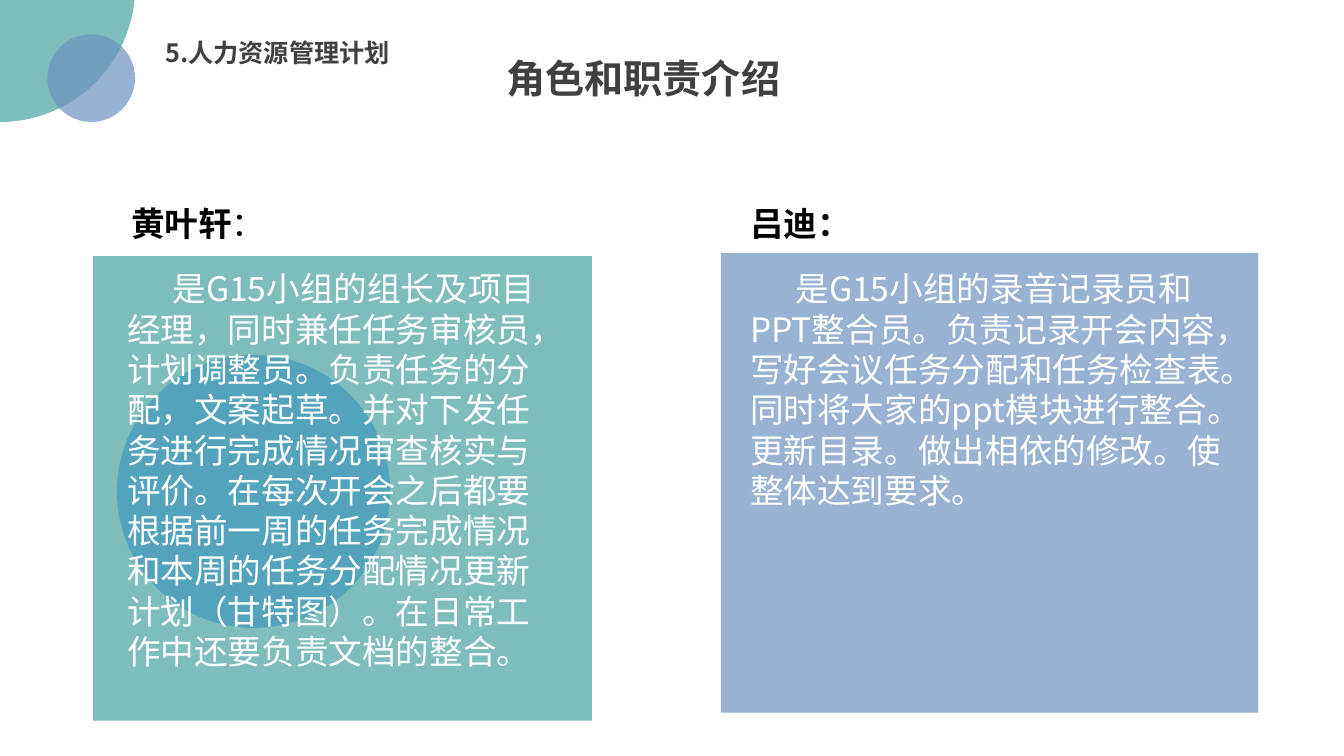
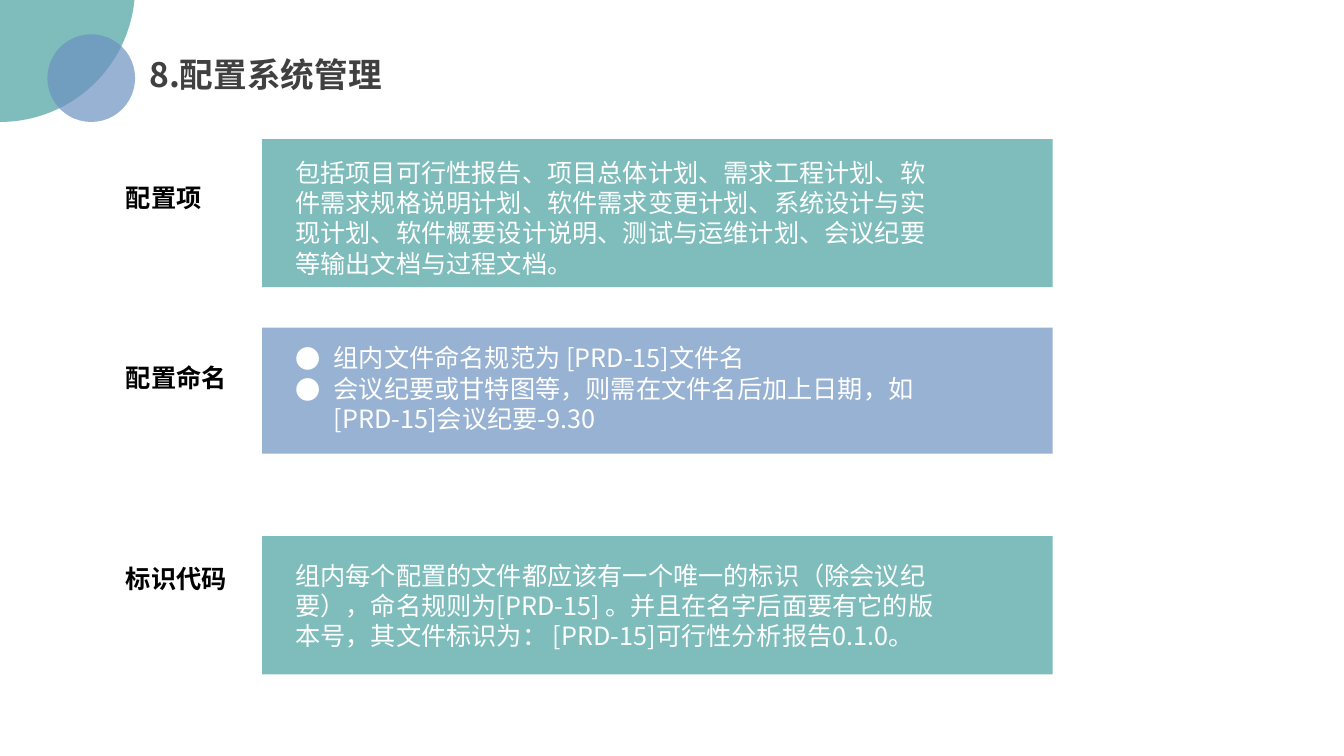
from lxml import etree
from pptx import Presentation
from pptx.dml.color import RGBColor
from pptx.enum.shapes import MSO_SHAPE
from pptx.enum.text import MSO_ANCHOR, MSO_AUTO_SIZE, PP_ALIGN
from pptx.oxml.ns import qn
from pptx.util import Inches, Pt

RECTANGLE, OVAL = MSO_SHAPE.RECTANGLE, MSO_SHAPE.OVAL
TOP, LEFT, NO_FIT = MSO_ANCHOR.TOP, PP_ALIGN.LEFT, MSO_AUTO_SIZE.NONE
CONTENT_LAYOUT, COMPARISON_LAYOUT = 1, 4

FONT = "Noto Sans CJK SC"
TEAL = RGBColor(0x48, 0xA2, 0xA0)
BLUE = RGBColor(0x6C, 0x92, 0xC0)
DEEP_BLUE = RGBColor(0x00, 0x70, 0xC0)
GREY = RGBColor(0x40, 0x40, 0x40)
BLACK = RGBColor(0, 0, 0)
WHITE = RGBColor(0xFF, 0xFF, 0xFF)

SECTION = "5.人力资源管理计划"
ROLES_TITLE = "角色和职责介绍"
ROLES = [
    {
        "name": [("黄叶轩", True), ("：", False)],
        "duty": "是G15小组的组长及项目经理，同时兼任任务审核员，计划调整员。负责任务的分配，文案起草。"
                "并对下发任务进行完成情况审查核实与评价。在每次开会之后都要根据前一周的任务完成情况和"
                "本周的任务分配情况更新计划（甘特图）。在日常工作中还要负责文档的整合。",
        "panel": (0.92, 2.54, 4.95, 4.61),
        "colour": TEAL,
        "name_left": 1.2,
        "duty_area": (1.16, 2.61, 4.33, 4.54),
    },
    {
        "name": [("吕迪：", True)],
        "duty": "是G15小组的录音记录员和PPT整合员。负责记录开会内容，写好会议任务分配和任务检查表。"
                "同时将大家的ppt模块进行整合。更新目录。做出相依的修改。使整体达到要求。",
        "panel": (7.15, 2.51, 5.33, 4.56),
        "colour": BLUE,
        "name_left": 7.34,
        "duty_area": (7.34, 2.61, 4.96, 2.52),
    },
]

CONFIG_TITLE = "8.配置系统管理"
CONFIG_ROWS = [
    {
        "label": "配置项",
        "lines": ["包括项目可行性报告、项目总体计划、需求工程计划、软件需求规格说明计划、软件需求变更计划、"
                  "系统设计与实现计划、软件概要设计说明、测试与运维计划、会议纪要等输出文档与过程文档。"],
        "colour": TEAL, "top": 1.38, "height": 1.47, "label_top": 1.76, "text_top": 1.51,
    },
    {
        "label": "配置命名",
        "lines": ["组内文件命名规范为 [PRD-15]文件名",
                  "会议纪要或甘特图等，则需在文件名后加上日期，如 [PRD-15]会议纪要-9.30"],
        "colour": BLUE, "top": 3.25, "height": 1.25, "label_top": 3.55, "text_top": 3.35,
    },
    {
        "label": "标识代码",
        "lines": ["组内每个配置的文件都应该有一个唯一的标识（除会议纪要），命名规则为[PRD-15] 。"
                  "并且在名字后面要有它的版本号，其文件标识为： [PRD-15]可行性分析报告0.1.0。"],
        "colour": TEAL, "top": 5.32, "height": 1.37, "label_top": 5.54, "text_top": 5.51,
    },
]


def add_panel(page, kind, area, colour, opacity=70):
    shape = page.shapes.add_shape(kind, *map(Inches, area))
    shape.shadow.inherit = False
    shape.line.fill.background()
    shape.fill.solid()
    shape.fill.fore_color.rgb = colour
    colour_node = shape.element.spPr.find(qn("a:solidFill"))[0]
    etree.SubElement(colour_node, qn("a:alpha"), val=str(opacity * 1000))


def add_corner(page):
    add_panel(page, OVAL, (-1.34, -1.47, 2.68, 2.68), TEAL)
    add_panel(page, OVAL, (0.47, 0.34, 0.87, 0.87), BLUE)


def write(page, area, paragraphs, holder=None, size=18, colour=BLACK, bold=False,
          wrap=True, margin=0, indent=0, bullet=None):
    if holder is None:
        box = page.shapes.add_textbox(*map(Inches, area))
    else:
        box = holder
        box.left, box.top, box.width, box.height = map(Inches, area)
        page.shapes.element.append(box.element)
    frame = box.text_frame
    frame.word_wrap = wrap
    frame.auto_size = NO_FIT
    frame.vertical_anchor = TOP
    for number, content in enumerate(paragraphs):
        para = frame.add_paragraph() if number else frame.paragraphs[0]
        para.alignment = LEFT
        para.line_spacing = 1.0
        para.space_before = para.space_after = Pt(0)
        layout = para._p.get_or_add_pPr()
        layout.set("marL", str(Inches(margin)))
        layout.set("indent", str(Inches(indent)))
        if bullet:
            etree.SubElement(layout, qn("a:buFont"), typeface=FONT)
            etree.SubElement(layout, qn("a:buChar"), char=bullet)
        else:
            etree.SubElement(layout, qn("a:buNone"))
        spans = [(content, bold)] if isinstance(content, str) else content
        for text, heavy in spans:
            span = para.add_run()
            span.text = text
            span.font.size = Pt(size)
            span.font.bold = heavy
            span.font.color.rgb = colour
            span.font.name = FONT
            etree.SubElement(span.font._element, qn("a:ea"), typeface=FONT)


def build_roles(deck):
    page = deck.slides.add_slide(deck.slide_layouts[COMPARISON_LAYOUT])
    title, *holders = list(page.placeholders)
    for role in ROLES:
        add_panel(page, RECTANGLE, role["panel"], role["colour"])
    add_panel(page, OVAL, (1.16, 3.52, 2.71, 2.71), DEEP_BLUE, opacity=33)
    add_corner(page)
    write(page, (4.92, 0.49, 2.93, 0.57), [ROLES_TITLE], holder=title,
          size=28, colour=GREY, bold=True, wrap=False)
    write(page, (1.54, 0.32, 2.49, 0.4), [SECTION], colour=GREY, bold=True, wrap=False)
    for role, name, duty in zip(ROLES, holders[::2], holders[1::2]):
        write(page, (role["name_left"], 1.96, 1.75, 0.5), [role["name"]], holder=name, size=24)
        write(page, role["duty_area"], [role["duty"]], holder=duty,
              size=24, colour=WHITE, indent=0.45)


def build_config(deck):
    page = deck.slides.add_slide(deck.slide_layouts[CONTENT_LAYOUT])
    title, body = list(page.placeholders)
    add_corner(page)
    write(page, (1.38, 0.48, 2.57, 0.5), [CONFIG_TITLE], holder=title,
          size=24, colour=GREY, bold=True)
    for row in CONFIG_ROWS:
        add_panel(page, RECTANGLE, (2.6, row["top"], 7.84, row["height"]), row["colour"])
        label_width = 0.7 + 0.255 * len(row["label"])
        write(page, (0.65, row["label_top"], label_width, 0.4), [row["label"]],
              bold=True, wrap=False, margin=0.5)
        listed = len(row["lines"]) > 1
        style = {"holder": body, "margin": 0.38, "indent": -0.38, "bullet": "●"} if listed else {}
        write(page, (2.83, row["text_top"], 6.67, row["height"] - 0.2), row["lines"],
              colour=WHITE, **style)


def main():
    deck = Presentation()
    deck.slide_width, deck.slide_height = Inches(13.33), Inches(7.5)
    build_roles(deck)
    build_config(deck)
    deck.save("out.pptx")


if __name__ == "__main__":
    main()
